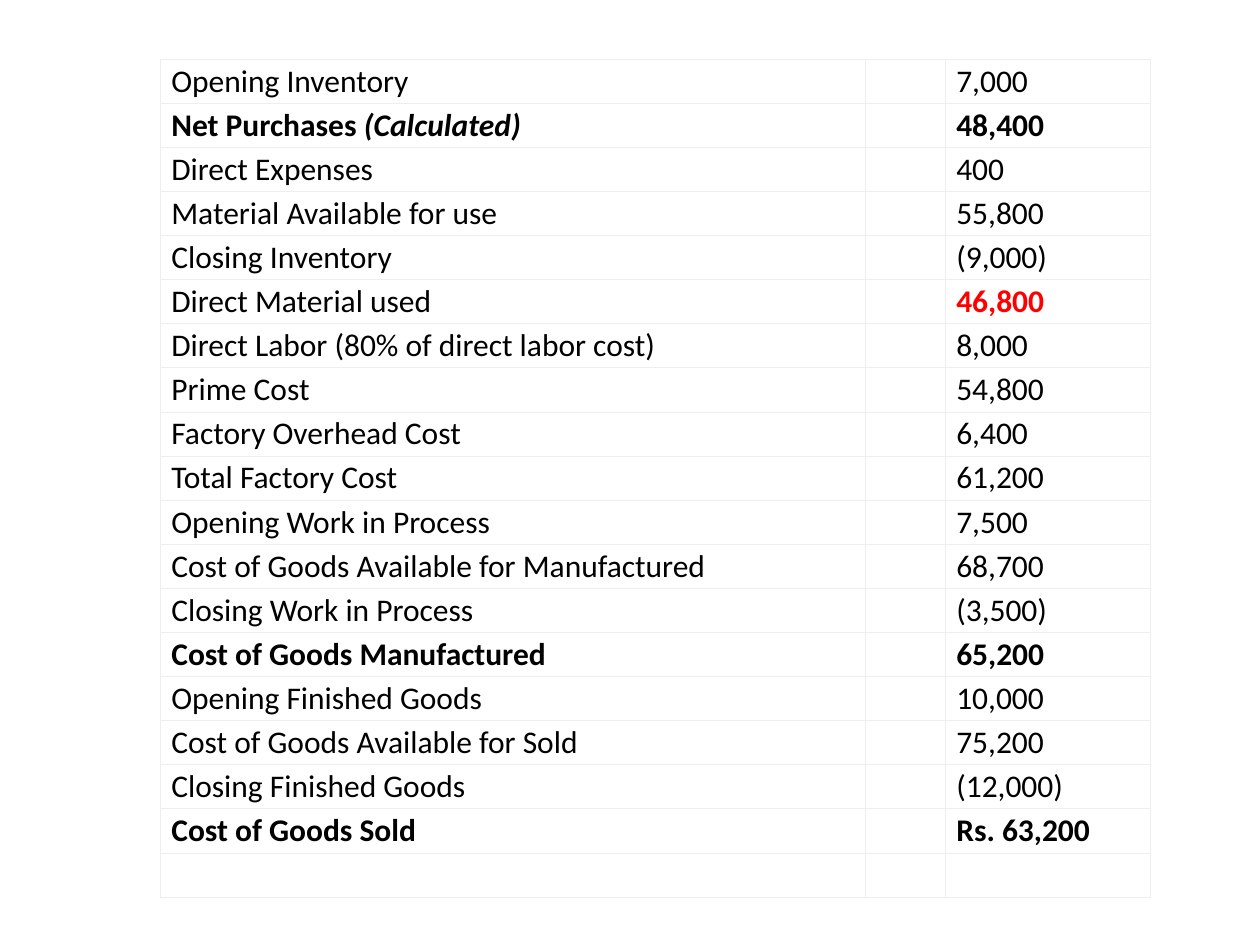
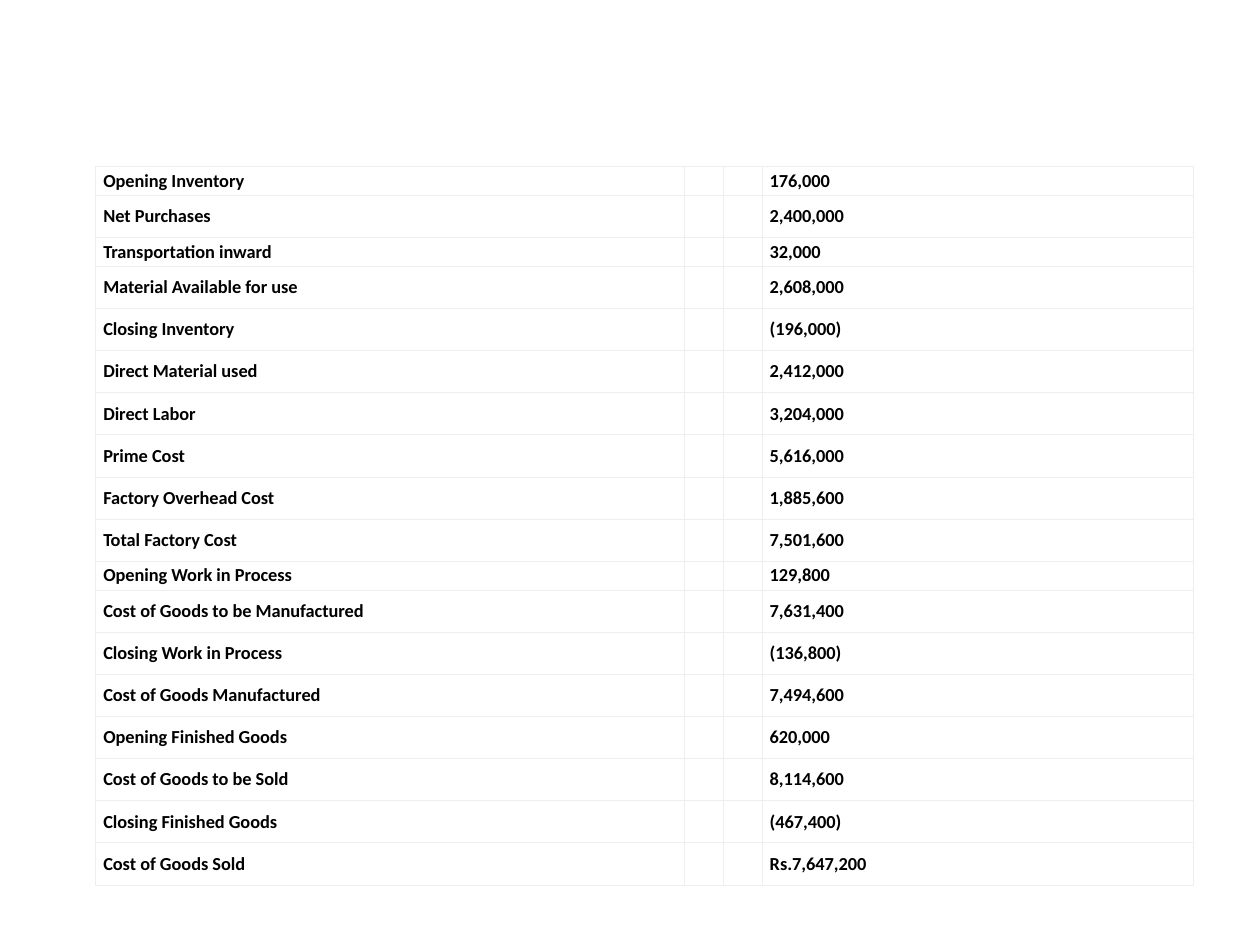
from dataclasses import dataclass

from lxml.etree import SubElement
from pptx import Presentation
from pptx.dml.color import RGBColor
from pptx.enum.text import MSO_ANCHOR
from pptx.oxml.ns import qn
from pptx.presentation import Presentation as Deck
from pptx.table import _Cell
from pptx.util import Inches, Pt

COLORS = {"paper": "FFFFFF", "ink": "000000", "highlight": "FF0000", "grid": "EEEEEE"}
FONT = "Calibri"
SLIDE_WIDTH, SLIDE_HEIGHT = Inches(10), Inches(7.5)
BORDER_WIDTH = Pt(0.6)
BLANK_LAYOUT = 6


@dataclass(frozen=True)
class Entry:
    label: str = ""
    amount: str = ""
    label_bold: bool = False
    amount_bold: bool = False
    note: str = ""
    amount_color: str = "ink"
    compact: bool = False


@dataclass(frozen=True)
class CostStatement:
    """Positions and sizes are percentages of the slide."""
    left: float
    top: float
    columns: tuple[float, ...]
    row_height: float
    compact_height: float
    font_size: float
    side_margin: float
    entries: tuple[Entry, ...]


def total(label: str, amount: str, note: str = "") -> Entry:
    return Entry(label, amount, label_bold=True, amount_bold=True, note=note)


def compact(label: str, amount: str) -> Entry:
    return Entry(label, amount, label_bold=True, amount_bold=True, compact=True)


FIRST_STATEMENT = CostStatement(
    left=12.7, top=6.27, columns=(56, 6.3, 16.3), row_height=4.67,
    compact_height=4.67, font_size=18, side_margin=0.09,
    entries=(
        Entry("Opening Inventory", "7,000"),
        total("Net Purchases ", "48,400", note="(Calculated)"),
        Entry("Direct Expenses", "400"),
        Entry("Material Available for use", "55,800"),
        Entry("Closing Inventory", "(9,000)"),
        Entry("Direct Material used", "46,800", amount_bold=True, amount_color="highlight"),
        Entry("Direct Labor (80% of direct labor cost)", "8,000"),
        Entry("Prime Cost", "54,800"),
        Entry("Factory Overhead Cost", "6,400"),
        Entry("Total Factory Cost", "61,200"),
        Entry("Opening Work in Process", "7,500"),
        Entry("Cost of Goods Available for Manufactured", "68,700"),
        Entry("Closing Work in Process", "(3,500)"),
        total("Cost of Goods Manufactured", "65,200"),
        Entry("Opening Finished Goods", "10,000"),
        Entry("Cost of Goods Available for Sold", "75,200"),
        Entry("Closing Finished Goods", "(12,000)"),
        total("Cost of Goods Sold", "Rs. 63,200"),
        Entry(),
    ),
)

SECOND_STATEMENT = CostStatement(
    left=7.6, top=17.6, columns=(46.7, 3.1, 3.1, 34.2), row_height=4.46,
    compact_height=3.07, font_size=10.5, side_margin=0.06,
    entries=(
        compact("Opening Inventory", "176,000"),
        total("Net Purchases", "2,400,000"),
        compact("Transportation inward", "32,000"),
        total("Material Available for use", "2,608,000"),
        total("Closing Inventory", "(196,000)"),
        total("Direct Material used", "2,412,000"),
        total("Direct Labor", "3,204,000"),
        total("Prime Cost", "5,616,000"),
        total("Factory Overhead Cost", "1,885,600"),
        total("Total Factory Cost", "7,501,600"),
        compact("Opening Work in Process", "129,800"),
        total("Cost of Goods to be Manufactured", "7,631,400"),
        total("Closing Work in Process", "(136,800)"),
        total("Cost of Goods Manufactured", "7,494,600"),
        total("Opening Finished Goods", "620,000"),
        total("Cost of Goods to be Sold", "8,114,600"),
        total("Closing Finished Goods", "(467,400)"),
        total("Cost of Goods Sold", "Rs.7,647,200"),
    ),
)


def across(percent: float) -> int:
    return round(SLIDE_WIDTH * percent / 100)


def down(percent: float) -> int:
    return round(SLIDE_HEIGHT * percent / 100)


def rgb(name: str) -> RGBColor:
    return RGBColor.from_string(COLORS[name])


def style_cell(cell: _Cell, side_margin: float) -> None:
    properties = cell._tc.get_or_add_tcPr()
    for side in ("L", "R", "T", "B"):
        border = SubElement(properties, qn(f"a:ln{side}"), w=str(BORDER_WIDTH))
        solid = SubElement(border, qn("a:solidFill"))
        SubElement(solid, qn("a:srgbClr"), val=COLORS["grid"])
    cell.fill.solid()
    cell.fill.fore_color.rgb = rgb("paper")
    cell.vertical_anchor = MSO_ANCHOR.MIDDLE
    cell.margin_left = cell.margin_right = Inches(side_margin)
    cell.margin_top = cell.margin_bottom = Inches(0.02)


def write_cell(cell: _Cell, text: str, size: float, bold: bool = False,
               color: str = "ink", note: str = "") -> None:
    paragraph = cell.text_frame.paragraphs[0]
    if not text:
        SubElement(paragraph._p, qn("a:endParaRPr"), sz=str(round(size * 100)))
        return
    paragraph.text = text
    if note:
        remark = paragraph.add_run()
        remark.text = note
        remark.font.italic = True
    for run in paragraph.runs:
        run.font.name = FONT
        run.font.size = Pt(size)
        run.font.bold = bold
        run.font.color.rgb = rgb(color)


def add_statement(deck: Deck, statement: CostStatement) -> None:
    slide = deck.slides.add_slide(deck.slide_layouts[BLANK_LAYOUT])
    slide.background.fill.solid()
    slide.background.fill.fore_color.rgb = rgb("paper")
    heights = [statement.compact_height if entry.compact else statement.row_height
               for entry in statement.entries]
    ledger = slide.shapes.add_table(
        len(heights), len(statement.columns),
        across(statement.left), down(statement.top),
        across(sum(statement.columns)), down(sum(heights)),
    ).table
    ledger.first_row = ledger.horz_banding = False
    for column, width in zip(ledger.columns, statement.columns):
        column.width = across(width)
    for row, height, entry in zip(ledger.rows, heights, statement.entries):
        row.height = down(height)
        label, *spacers, amount = row.cells
        for cell in (label, *spacers, amount):
            style_cell(cell, statement.side_margin)
        write_cell(label, entry.label, statement.font_size, entry.label_bold, note=entry.note)
        for spacer in spacers:
            write_cell(spacer, "", statement.font_size)
        write_cell(amount, entry.amount, statement.font_size, entry.amount_bold,
                   entry.amount_color)


def main() -> None:
    deck = Presentation()
    deck.slide_width, deck.slide_height = SLIDE_WIDTH, SLIDE_HEIGHT
    for statement in (FIRST_STATEMENT, SECOND_STATEMENT):
        add_statement(deck, statement)
    deck.save("out.pptx")


if __name__ == "__main__":
    main()
